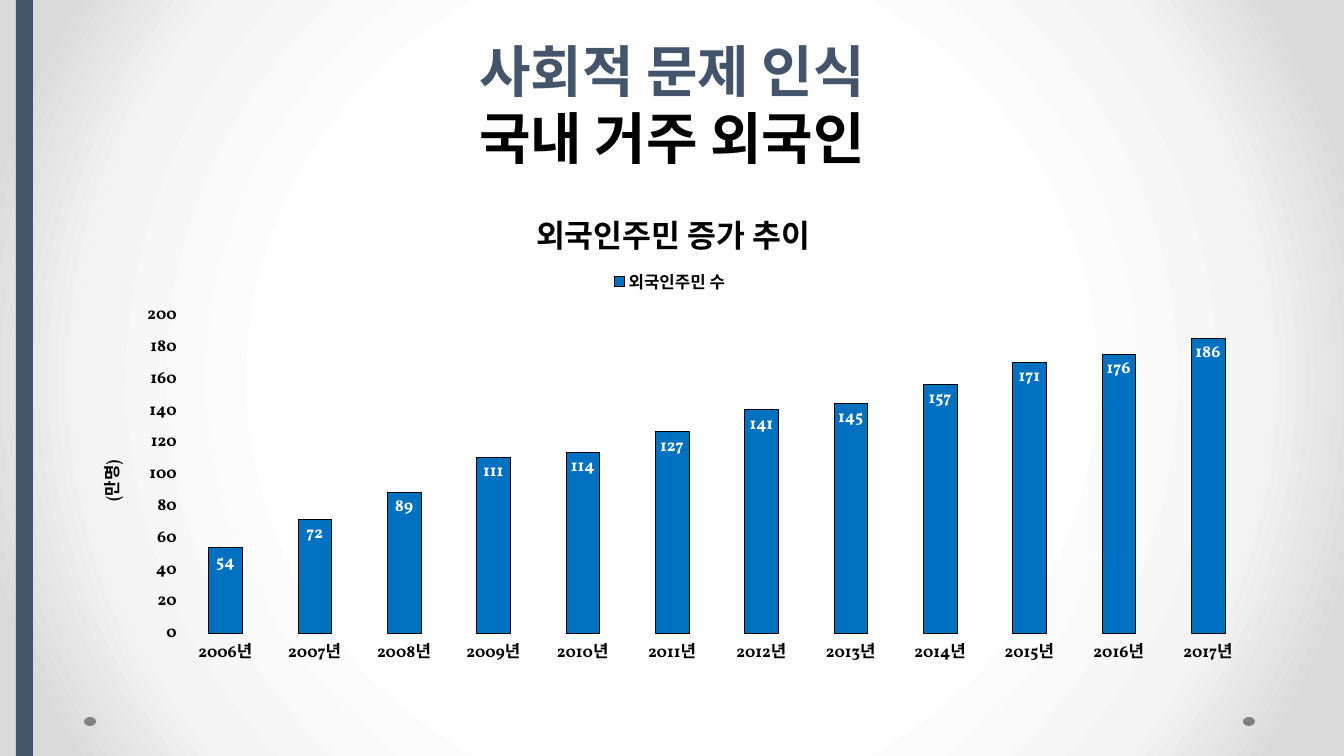
"""Build the slide on the growth in foreign residents, with its column chart."""
import pptx
import pptx.chart.data
import pptx.dml.color
import pptx.enum.chart
import pptx.enum.shapes
import pptx.enum.text
import pptx.oxml
import pptx.oxml.ns
import pptx.util
from dataclasses import dataclass


@dataclass(frozen=True)
class Theme:
    navy: str = "44546A"
    black: str = "000000"
    white: str = "FFFFFF"
    grey: str = "808080"
    blue: str = "0070C0"
    backdrop: tuple = ((50, "FFFFFF"), (76, "F4F4F4"), (92, "DADADA"))
    hangul: str = "Noto Sans CJK KR"
    latin: str = "Vollkorn"
    heading: float = 40
    leading: float = 48
    chart_title: float = 22.4
    label: float = 12


theme = Theme()
SCALE = 12192000 / 1344
RGB = pptx.dml.color.RGBColor.from_string
qn = pptx.oxml.ns.qn


def write_span(para, text, *, size, color, font):
    """Add a bold run with its Latin and East Asian fonts."""
    span = para.add_run()
    span.text = text
    span.font.size = pptx.util.Pt(size)
    span.font.bold = True
    span.font.color.rgb = RGB(color)
    span.font.name = font
    east_asian = pptx.oxml.parse_xml(
        f'<a:ea {pptx.oxml.ns.nsdecls("a")} typeface="{theme.hangul}"/>')
    span.font._element.find(qn("a:latin")).addnext(east_asian)


def place_part(part, index, **fractions):
    """Give a chart part a manual layout in fractions of the chart."""
    settings = "".join(f'<c:{name}Mode val="edge"/>' for name in ("x", "y"))
    settings += "".join(f'<c:{name} val="{value}"/>' for name, value in fractions.items())
    target = '<c:layoutTarget val="inner"/>' if "w" in fractions else ""
    layout = pptx.oxml.parse_xml(
        f'<c:layout {pptx.oxml.ns.nsdecls("c")}><c:manualLayout>'
        f'{target}{settings}</c:manualLayout></c:layout>')
    existing = part.find(qn("c:layout"))
    if existing is not None:
        part.remove(existing)
    part.insert(index, layout)


deck = pptx.Presentation()
deck.slide_width = round(1344 * SCALE)
deck.slide_height = round(756 * SCALE)
page = deck.slides.add_slide(deck.slide_layouts[5])

page.background.fill.gradient()
gradient = page.element.find(".//" + qn("a:gradFill"))
stops = "".join(
    f'<a:gs pos="{position * 1000}"><a:srgbClr val="{color}"/></a:gs>'
    for position, color in theme.backdrop)
radial = pptx.oxml.parse_xml(
    f'<a:gradFill {pptx.oxml.ns.nsdecls("a")} rotWithShape="1"><a:gsLst>{stops}</a:gsLst>'
    '<a:path path="circle"><a:fillToRect l="50000" t="50000" r="50000" b="50000"/></a:path>'
    '</a:gradFill>')
gradient.getparent().replace(gradient, radial)

shapes = pptx.enum.shapes.MSO_SHAPE
for kind, color, *frame in (
    (shapes.OVAL, theme.grey, 1243, 717, 12, 9),
    (shapes.OVAL, theme.grey, 84, 717, 12, 9),
    (shapes.RECTANGLE, theme.navy, 16, 0, 17, 756),
):
    ornament = page.shapes.add_shape(kind, *(round(length * SCALE) for length in frame))
    ornament.shadow.inherit = False
    ornament.fill.solid()
    ornament.fill.fore_color.rgb = RGB(color)
    ornament.line.fill.background()

title = page.shapes.title
title.left, title.top, title.width, title.height = (
    round(length * SCALE) for length in (67, 0, 1210, 176))
title.text_frame.word_wrap = True
title.text_frame.auto_size = pptx.enum.text.MSO_AUTO_SIZE.NONE
title.text_frame.vertical_anchor = pptx.enum.text.MSO_ANCHOR.BOTTOM
para = title.text_frame.paragraphs[0]
para.alignment = pptx.enum.text.PP_ALIGN.CENTER
para.line_spacing = pptx.util.Pt(theme.leading)
write_span(para, "사회적 문제 인식", size=theme.heading, color=theme.navy, font=theme.hangul)
para.add_line_break()
write_span(para, "국내 거주 외국인", size=theme.heading, color=theme.black, font=theme.hangul)

data = pptx.chart.data.CategoryChartData()
data.categories = [f"{year}년" for year in range(2006, 2018)]
data.add_series("외국인주민 수", (54, 72, 89, 111, 114, 127, 141, 145, 157, 171, 176, 186))
chart = page.shapes.add_chart(
    pptx.enum.chart.XL_CHART_TYPE.COLUMN_CLUSTERED,
    *(round(length * SCALE) for length in (67, 176, 1210, 499)), data).chart
place_part(chart._chartSpace.chart.plotArea, 0, x=0.094, y=0.28, w=0.886, h=0.637)

chart.has_title = True
write_span(chart.chart_title.text_frame.paragraphs[0], "외국인주민 증가 추이",
           size=theme.chart_title, color=theme.black, font=theme.latin)
place_part(chart.chart_title._element, 1, x=0.383, y=0.05)

chart.has_legend = True
chart.legend.position = pptx.enum.chart.XL_LEGEND_POSITION.TOP
chart.legend.include_in_layout = False
place_part(chart.legend._element, 1, x=0.448, y=0.178)

for axis in (chart.category_axis, chart.value_axis):
    axis.has_major_gridlines = False
    axis.major_tick_mark = pptx.enum.chart.XL_TICK_MARK.NONE
    axis.minor_tick_mark = pptx.enum.chart.XL_TICK_MARK.NONE
    axis.format.line.fill.background()

scale_axis = chart.value_axis
scale_axis.minimum_scale = 0
scale_axis.maximum_scale = 200
scale_axis.major_unit = 20
unit_frame = scale_axis.axis_title.text_frame
write_span(unit_frame.paragraphs[0], "(만명)",
           size=theme.label, color=theme.black, font=theme.latin)
unit_body = unit_frame._txBody.find(qn("a:bodyPr"))
unit_body.set("rot", "-5400000")
unit_body.set("vert", "horz")
place_part(scale_axis.axis_title._element, 1, x=0.022, y=0.563)

plot = chart.plots[0]
plot.vary_by_categories = False
plot.gap_width = 164
plot.overlap = -35
columns = plot.series[0]
columns.format.fill.solid()
columns.format.fill.fore_color.rgb = RGB(theme.blue)
columns.format.line.color.rgb = RGB(theme.black)
columns.format.line.width = pptx.util.Pt(0.25)
labels = columns.data_labels
labels.show_value = True
labels.position = pptx.enum.chart.XL_LABEL_POSITION.INSIDE_END

for font, color in (
    (chart.font, theme.black),
    (chart.legend.font, theme.black),
    (chart.category_axis.tick_labels.font, theme.black),
    (scale_axis.tick_labels.font, theme.black),
    (labels.font, theme.white),
):
    font.name = theme.latin
    font.size = pptx.util.Pt(theme.label)
    font.bold = True
    font.color.rgb = RGB(color)

deck.save("out.pptx")
